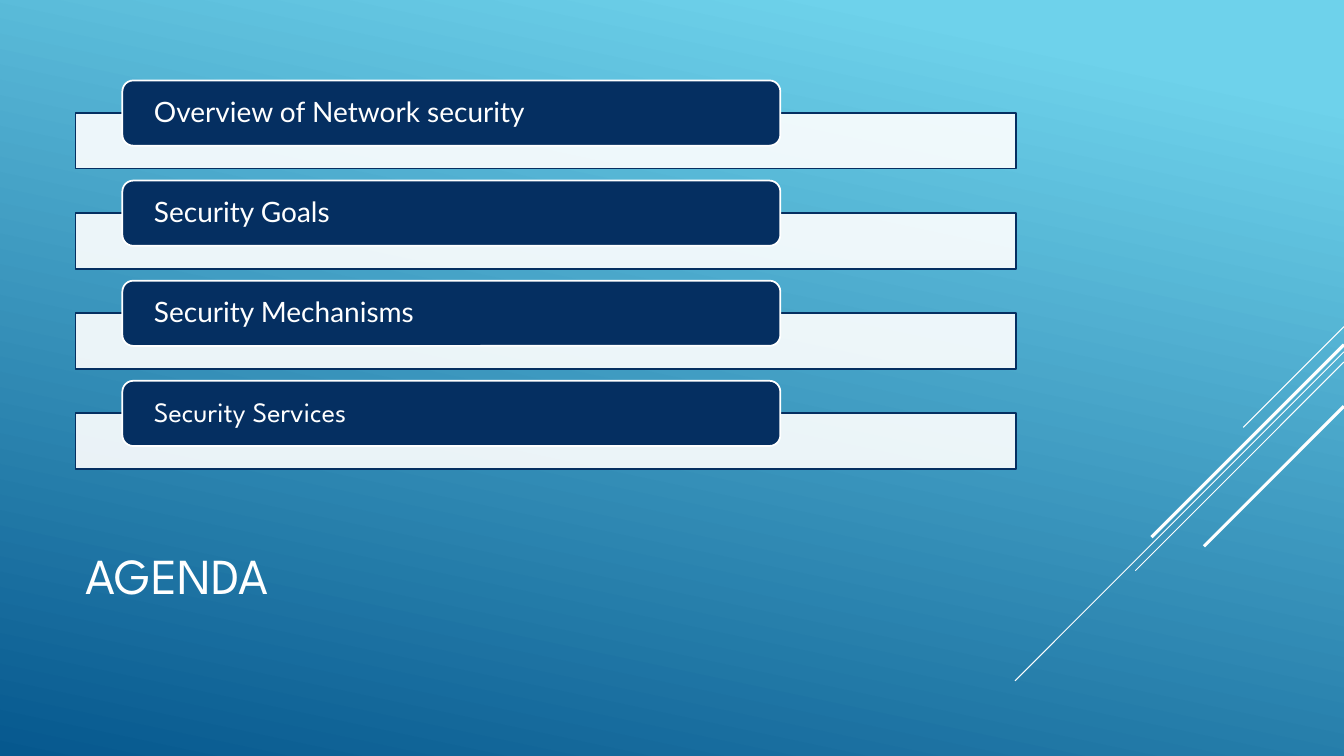
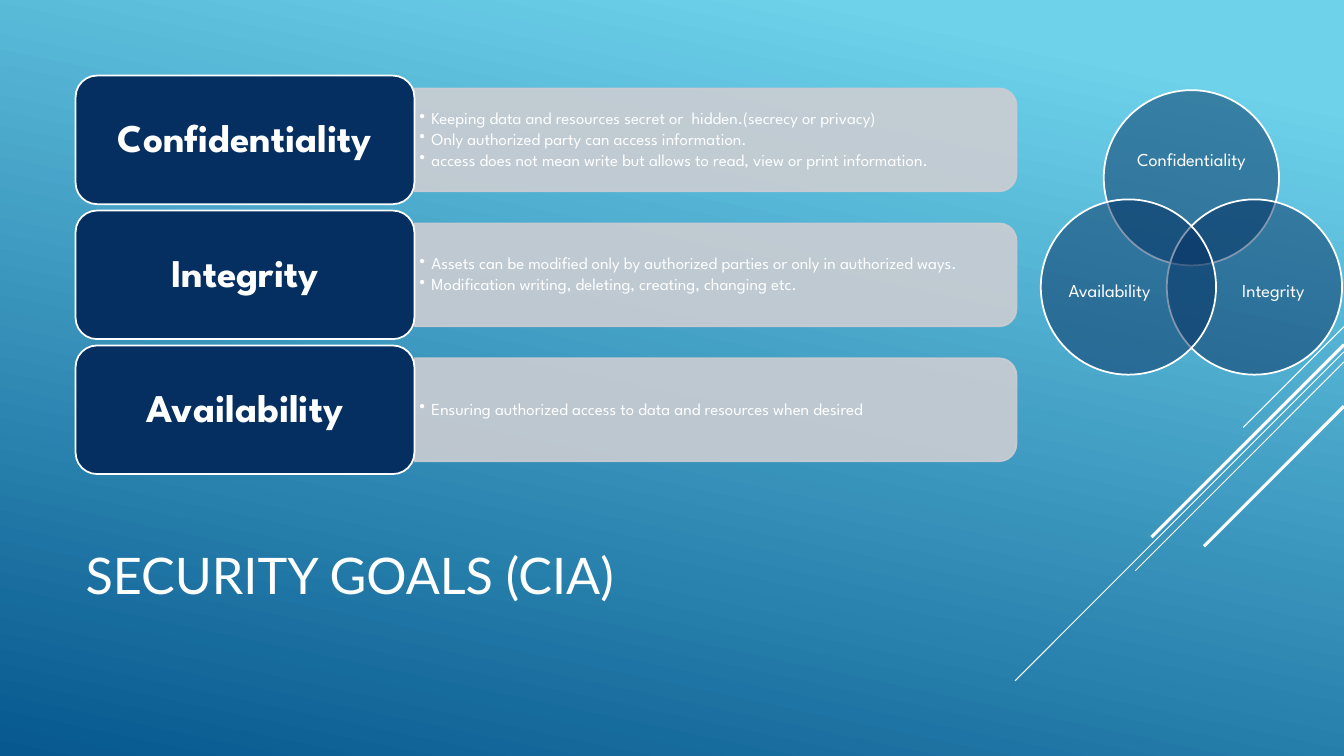
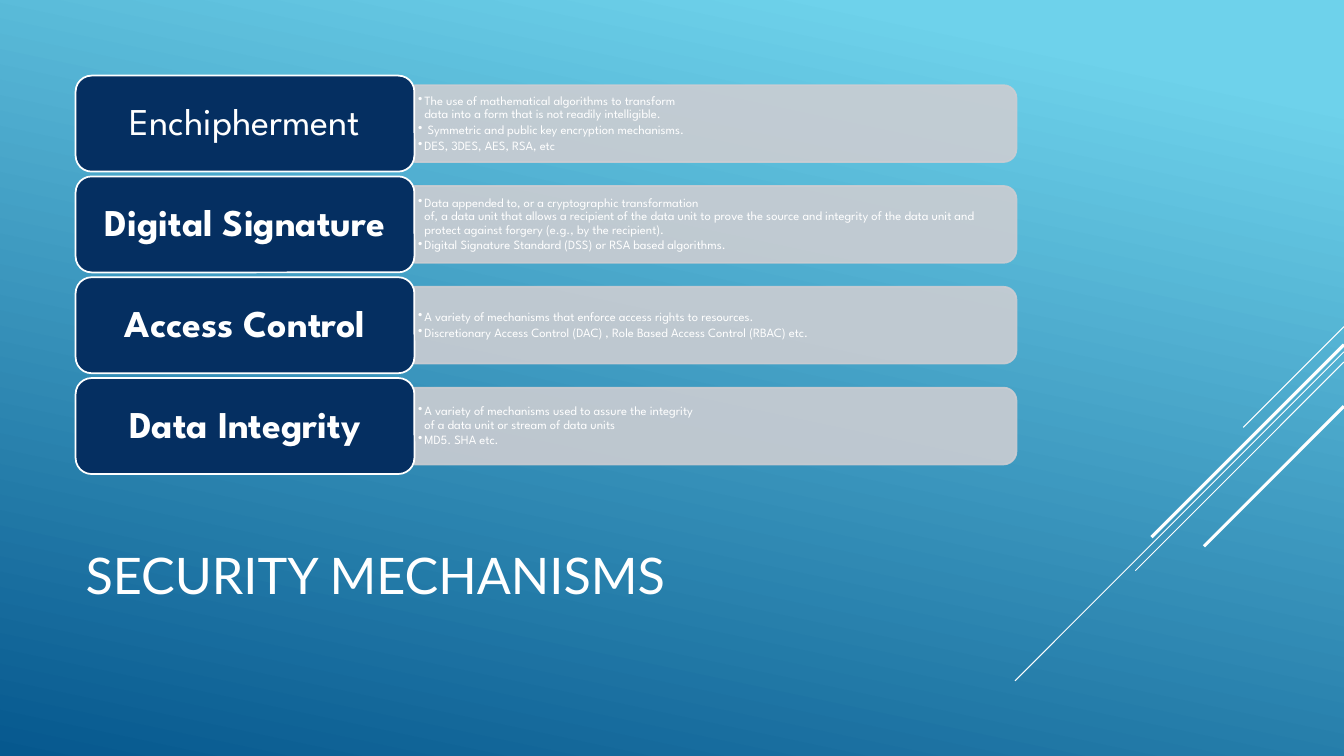
from copy import deepcopy

from lxml.etree import SubElement
from pptx import Presentation
from pptx.dml.color import RGBColor
from pptx.enum.shapes import MSO_CONNECTOR, MSO_SHAPE
from pptx.enum.text import MSO_ANCHOR, PP_ALIGN
from pptx.oxml.ns import qn
from pptx.util import Pt

NAVY, WHITE, GREY = "052F61", "FFFFFF", "CCCDD2"
SKY, DEEP = "6ED2EB", "06588E"
LATO, SPARTAN = "Lato", "League Spartan"
LEFT, TOP, WIDTH = 54, 54, 672

# Diagonal lines from the right edge: start height, reach, weight
RAYS = [(233.3, 72, 0.75), (251.3, 235, 0.75), (258.6, 149, 0.75),
        (246.2, 137.5, 2.25), (290.2, 100, 2.25)]


def rgb(color):
    return RGBColor.from_string(color)


def fade(fill, percent):
    """Make a solid fill partly transparent."""
    color = fill._xPr.find(qn("a:solidFill")).find(qn("a:srgbClr"))
    SubElement(color, qn("a:alpha"), val=str(percent * 1000))


def write(tf, *texts, size, font=SPARTAN, bold=False, align=PP_ALIGN.LEFT,
          inset=(0, 0), spacing=0.9, after=0.35, hang=0):
    """Fill a text frame, one paragraph per text; hang adds bullets."""
    tf.word_wrap = True
    tf.vertical_anchor = MSO_ANCHOR.MIDDLE
    tf.margin_left = tf.margin_right = Pt(inset[0])
    tf.margin_top = tf.margin_bottom = Pt(inset[1])
    for i, text in enumerate(texts):
        p = tf.add_paragraph() if i else tf.paragraphs[0]
        p.text = text
        p.alignment = align
        p.line_spacing = spacing
        p.space_after = Pt(round(after * size, 2))
        for r in p.runs:
            r.font.size, r.font.name, r.font.bold = Pt(size), font, bold
            r.font.color.rgb = rgb(WHITE)
        for br in p._p.findall(qn("a:br")):
            br.insert(0, deepcopy(p.runs[0]._r.rPr))
        if hang:
            pPr = p._p.get_or_add_pPr()
            pPr.set("marL", str(Pt(hang)))
            pPr.set("indent", str(-Pt(hang)))
            SubElement(pPr, qn("a:buChar"), char="•")


class Deck:
    def __init__(self):
        self.prs = Presentation()
        self.prs.slide_width, self.prs.slide_height = Pt(960), Pt(540)

    def slide(self, title, font=LATO):
        self.s = self.prs.slides.add_slide(self.prs.slide_layouts[6])
        # Background
        fill = self.s.background.fill
        fill.gradient()
        fill.gradient_angle = 258
        for stop, color, position in zip(fill.gradient_stops, (SKY, DEEP), (0.1, 1)):
            stop.color.rgb, stop.position = rgb(color), position
        # Decoration and title
        for y, reach, weight in RAYS:
            self.line(960, y, 960 - reach, y + reach, weight)
        self.text(LEFT, 353.5, WIDTH, 119, title, size=36, font=font,
                  inset=(7.2, 3.6), after=0)

    def line(self, x1, y1, x2, y2, weight):
        c = self.s.shapes.add_connector(MSO_CONNECTOR.STRAIGHT,
                                        Pt(x1), Pt(y1), Pt(x2), Pt(y2))
        c.line.color.rgb, c.line.width = rgb(WHITE), Pt(weight)
        SubElement(c._element.spPr, qn("a:effectLst"))

    def text(self, x, y, w, h, *texts, **style):
        box = self.s.shapes.add_textbox(Pt(x), Pt(y), Pt(w), Pt(h))
        write(box.text_frame, *texts, **style)

    def shape(self, kind, x, y, w, h, fill=NAVY, line=WHITE, opacity=100):
        sp = self.s.shapes.add_shape(kind, Pt(x), Pt(y), Pt(w), Pt(h))
        sp.shadow.inherit = False
        sp.fill.solid()
        sp.fill.fore_color.rgb = rgb(fill)
        sp.line.color.rgb, sp.line.width = rgb(line), Pt(1.25)
        if opacity < 100:
            fade(sp.fill, opacity)
        return sp

    def tab(self, x, y, w, h, text, **style):
        sp = self.shape(MSO_SHAPE.ROUNDED_RECTANGLE, x, y, w, h)
        write(sp.text_frame, text, **style)

    def agenda(self, items):
        for i, (text, font) in enumerate(items):
            y = 57.5 + i * 71.5
            self.shape(MSO_SHAPE.RECTANGLE, LEFT, y + 23.2, WIDTH, 39.8,
                       WHITE, NAVY, opacity=90)
            self.tab(87.4, y, 470, 46.6, text, size=20, font=font, inset=(20.3, 0))

    def topics(self, rows, head_size, size, hang, inset):
        """Stack heading tabs, each with a bulleted panel at its right."""
        tab_w = 242
        panel_x, panel_w = LEFT + tab_w, WIDTH - tab_w
        h = 284.6 / (1.05 * len(rows) - 0.05)
        panel_h = 0.8 * h
        for i, (head, bold, bullets) in enumerate(rows):
            y = TOP + i * 1.05 * h
            mid = y + h / 2
            # The panel is a top-rounded shape turned a quarter
            panel = self.shape(MSO_SHAPE.ROUND_2_SAME_RECTANGLE,
                               panel_x + (panel_w - panel_h) / 2, mid - panel_w / 2,
                               panel_h, panel_w, GREY, GREY, opacity=90)
            panel.rotation = 90
            fade(panel.line.fill, 90)
            self.text(panel_x, mid - panel_h / 2, panel_w - 3, panel_h, *bullets,
                      size=size, hang=hang, inset=inset, after=0.15)
            self.tab(LEFT, y, tab_w, h, head, size=head_size, bold=bold,
                     align=PP_ALIGN.CENTER, inset=(11, 6))

    def venn(self, cx, cy, d, circles):
        """Overlapping circles; each has its own and its label's offset."""
        label_w, label_h = 92, 60
        for text, dx, dy, label_dx, label_dy in circles:
            self.shape(MSO_SHAPE.OVAL, cx + dx - d / 2, cy + dy - d / 2, d, d, opacity=50)
            self.text(cx + label_dx - label_w / 2, cy + label_dy - label_h / 2,
                      label_w, label_h, text, size=13, align=PP_ALIGN.CENTER)


def main():
    deck = Deck()

    # Agenda
    deck.slide("AGENDA", SPARTAN)
    deck.agenda([("Overview of Network security", LATO), ("Security Goals", LATO),
                 ("Security Mechanisms", LATO), ("Security Services", SPARTAN)])

    # Goals
    deck.slide("SECURITY GOALS (CIA)")
    deck.topics([
        ("Confidentiality", True, [
            "Keeping data and resources secret or  hidden.(secrecy or privacy)",
            "Only authorized party can access information.",
            "access does not mean write but allows to read, view or print information."]),
        ("Integrity", True, [
            "Assets can be modified only by authorized parties or only in authorized ways.",
            "Modification writing, deleting, creating, changing etc."]),
        ("Availability", True, [
            "Ensuring authorized access to data and resources when desired"]),
    ], head_size=28, size=12, hang=8.64, inset=(3.6, 2))
    deck.venn(851, 179, 125.2, [("Confidentiality", 0, -52, 0, -64.5),
                                ("Integrity", 45, 26, 58.5, 29.5),
                                ("Availability", -45, 26, -58.5, 29.5)])

    # Mechanisms
    deck.slide("SECURITY MECHANISMS")
    deck.topics([
        ("Enchipherment", False, [
            "The use of mathematical algorithms to transform\n"
            "data into a form that is not readily intelligible.",
            " Symmetric and public key encryption mechanisms.",
            "DES, 3DES, AES, RSA, etc"]),
        ("Digital Signature", True, [
            "Data appended to, or a cryptographic transformation\n"
            "of, a data unit that allows a recipient of the data unit to prove the source "
            "and integrity of the data unit and protect against forgery "
            "(e.g., by the recipient).",
            "Digital Signature Standard (DSS) or RSA based algorithms."]),
        ("Access Control", True, [
            "A variety of mechanisms that enforce access rights to resources.",
            "Discretionary Access Control (DAC) , Role Based Access Control (RBAC) etc."]),
        ("Data Integrity", True, [
            "A variety of mechanisms used to assure the integrity\n"
            "of a data unit or stream of data units",
            "MD5. SHA etc."]),
    ], head_size=27, size=9, hang=4.5, inset=(2.7, 1.4))

    deck.prs.save("out.pptx")


if __name__ == "__main__":
    main()
